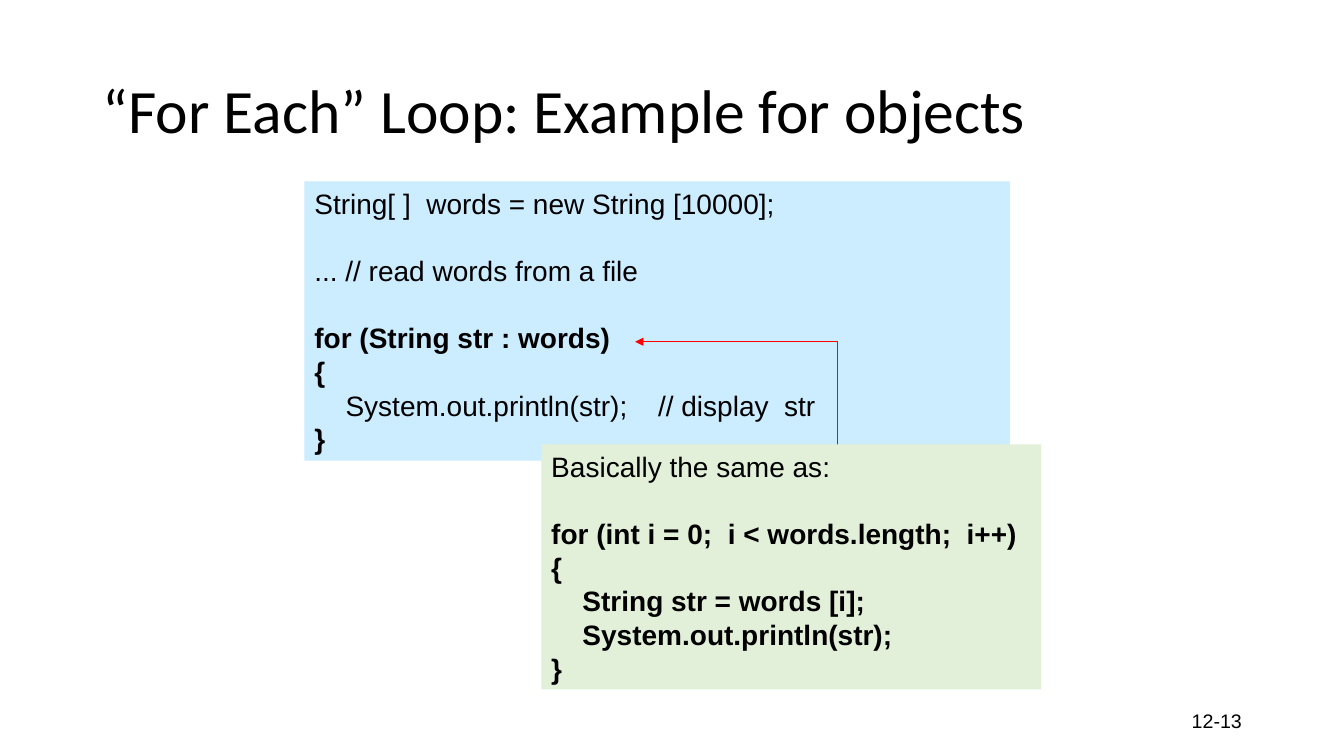
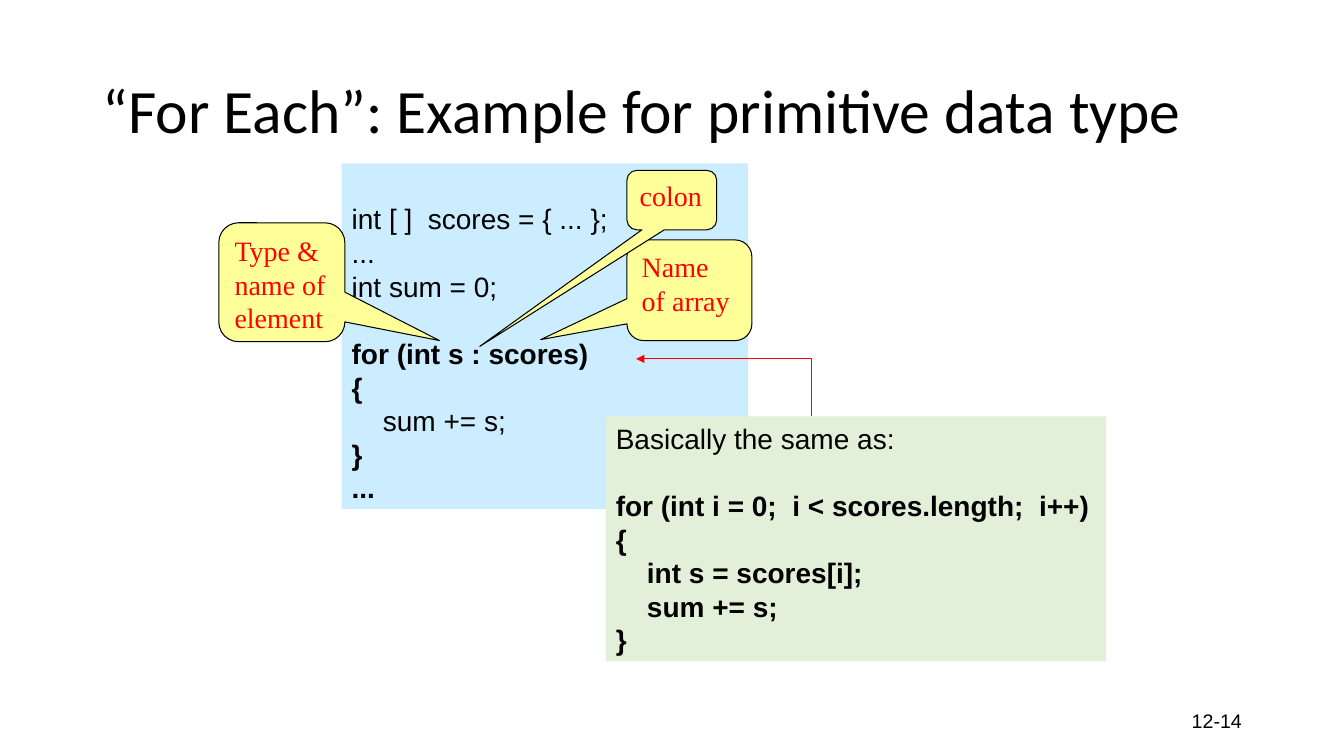
from dataclasses import dataclass
from pptx import Presentation
from pptx.dml.color import RGBColor as RGB
from pptx.enum.shapes import MSO_SHAPE as SHAPE
from pptx.enum.text import MSO_ANCHOR as ANCHOR, MSO_AUTO_SIZE as FIT, PP_ALIGN as ALIGN
from pptx.oxml.ns import qn
from pptx.util import Inches, Pt
from lxml.etree import SubElement

WIDTH, HEIGHT = Inches(13.333), Inches(7.5)


@dataclass(frozen=True)
class Theme:
    """Colours, fonts and type sizes of the deck."""
    ink: str = "000000"
    accent: str = "FF0000"
    code: str = "CCECFF"
    equivalent: str = "E2F0D9"
    callout: str = "FFFF99"
    title_font: str = "Calibri"
    code_font: str = "Arial"
    callout_font: str = "Times New Roman"
    title_size: int = 44
    body_size: int = 20
    page_size: int = 14
    line_pitch: int = 24
    hairline: float = 0.75
    tab_stops: tuple = (2.32, 25.58)


THEME = Theme()


@dataclass(frozen=True)
class Box:
    """A region in percent of the slide's width and height."""
    left: float
    top: float
    width: float
    height: float

    def place(self):
        """Return the region as slide lengths."""
        return across(self.left), down(self.top), across(self.width), down(self.height)


@dataclass(frozen=True)
class Line:
    """A line of code, with blank rows above it if it starts a block."""
    text: str
    bold: bool = False
    rows_above: int = 0


TITLE_BOX = Box(6.9, 5.33, 86.25, 19.33)
PAGE_BOX = Box(70.65, 92.67, 22.5, 5.33)


def across(share):
    """Turn a percentage of the slide's width into a length."""
    return int(WIDTH * share / 100)


def down(share):
    """Turn a percentage of the slide's height into a length."""
    return int(HEIGHT * share / 100)


def write(paragraph, text, font, size, color=THEME.ink, bold=False):
    """Add one styled run to a paragraph."""
    run = paragraph.add_run()
    run.text = text
    run.font.name, run.font.size, run.font.bold = font, Pt(size), bold
    run.font.color.rgb = RGB.from_string(color)


def label(slide, box, text, font, size, align=ALIGN.LEFT, spacing=1.0):
    """Place a single vertically centred paragraph."""
    frame = slide.shapes.add_textbox(*box.place()).text_frame
    frame.word_wrap, frame.vertical_anchor = True, ANCHOR.MIDDLE
    paragraph = frame.paragraphs[0]
    paragraph.alignment, paragraph.line_spacing = align, spacing
    write(paragraph, text, font, size)


def panel(slide, kind, box, fill):
    """Place a flat filled shape with left-aligned text from the top."""
    shape = slide.shapes.add_shape(kind, *box.place())
    shape.shadow.inherit = False
    shape.fill.solid()
    shape.fill.fore_color.rgb = RGB.from_string(fill)
    shape.text_frame.word_wrap = True
    shape.text_frame.vertical_anchor = ANCHOR.TOP
    shape.text_frame.paragraphs[0].alignment = ALIGN.LEFT
    return shape


def outline(shape, color):
    """Give a shape a thin coloured line."""
    shape.line.color.rgb = RGB.from_string(color)
    shape.line.width = Pt(THEME.hairline)


def add_tab_stops(paragraph):
    """Set the tab stops for indented code and its trailing remark."""
    stops = SubElement(paragraph._p.get_or_add_pPr(), qn("a:tabLst"))
    for share in THEME.tab_stops:
        SubElement(stops, qn("a:tab"), pos=str(across(share)), algn="l")


def code_panel(slide, box, lines, fill):
    """Place a panel of code lines."""
    code = panel(slide, SHAPE.RECTANGLE, box, fill)
    code.line.fill.background()
    frame = code.text_frame
    frame.auto_size = FIT.SHAPE_TO_FIT_TEXT
    frame.margin_top += Pt(THEME.line_pitch * lines[0].rows_above)
    for index, line in enumerate(lines):
        paragraph = frame.add_paragraph() if index else frame.paragraphs[0]
        paragraph.alignment = ALIGN.LEFT
        if index and line.rows_above:
            paragraph.space_before = Pt(THEME.line_pitch * line.rows_above)
        if "\t" in line.text:
            add_tab_stops(paragraph)
        write(paragraph, line.text, THEME.code_font, THEME.body_size, bold=line.bold)


def elbow_arrow(slide, start, tip):
    """Draw an arrow that rises from start and turns left to tip."""
    (x, y), (tip_x, tip_y) = [(across(h), down(v)) for h, v in (start, tip)]
    builder = slide.shapes.build_freeform(x, y)
    builder.add_line_segments([(x, tip_y), (tip_x, tip_y)], close=False)
    arrow = builder.convert_to_shape()
    arrow.shadow.inherit = False
    arrow.fill.background()
    outline(arrow, THEME.accent)
    SubElement(arrow.line._get_or_add_ln(), qn("a:tailEnd"), type="triangle")


def callout(slide, box, text, pointer):
    """Place a speech bubble whose pointer is a share of its own size."""
    bubble = panel(slide, SHAPE.ROUNDED_RECTANGULAR_CALLOUT, box, THEME.callout)
    bubble.adjustments[0], bubble.adjustments[1] = pointer
    outline(bubble, THEME.ink)
    write(bubble.text_frame.paragraphs[0], text, THEME.callout_font,
          THEME.body_size, THEME.accent)


def equivalent_lines(array, body):
    """Return the indexed loop that matches a for-each loop."""
    return [Line("Basically the same as:"),
            Line(f"for (int i = 0;  i < {array}.length;  i++)", True, 1),
            Line("{", True), *(Line("\t" + step, True) for step in body), Line("}", True)]


def example_slide(deck, title, page, code, equivalent, arrow_x, arrow_tip):
    """Build a slide that compares a for-each loop with an indexed one."""
    slide = deck.slides.add_slide(deck.slide_layouts[6])
    label(slide, PAGE_BOX, page, THEME.code_font, THEME.page_size, ALIGN.RIGHT)
    label(slide, TITLE_BOX, title, THEME.title_font, THEME.title_size, spacing=0.9)
    code_panel(slide, *code, THEME.code)
    elbow_arrow(slide, (arrow_x, equivalent[0].top), arrow_tip)
    code_panel(slide, *equivalent, THEME.equivalent)
    return slide


def objects_slide(deck):
    """Build the example for objects."""
    code = [Line("String[ ]  words = new String [10000];"),
            Line("... // read words from a file", rows_above=1),
            Line("for (String str : words)", True, 1), Line("{", True),
            Line("\tSystem.out.println(str);\t// display  str"), Line("}", True)]
    body = ["String str = words [i];", "System.out.println(str);"]
    example_slide(deck, "“For Each” Loop: Example for objects", "12-13",
                  (Box(22.65, 24, 52.5, 36.93), code),
                  (Box(40.28, 58.8, 37.2, 32.4), equivalent_lines("words", body)),
                  62.33, (47.25, 45.2))


def primitives_slide(deck):
    """Build the example for primitive types with its callouts."""
    code = [Line("int [ ]  scores = { ... };", rows_above=1), Line("..."),
            Line("int sum = 0;"), Line("for (int s : scores)", True, 1),
            Line("{", True), Line("\tsum += s;"), Line("}", True), Line("...", True)]
    body = ["int s = scores[i];", "sum += s;"]
    slide = example_slide(deck, "“For Each”: Example for primitive data type", "12-14",
                          (Box(25.43, 21.6, 30.23, 45.73), code),
                          (Box(45.08, 55.07, 37.2, 32.4), equivalent_lines("scores", body)),
                          60.38, (47.33, 47.47))
    callouts = [(Box(16.28, 29.47, 9.38, 15.73), "Type & name of element", (1.25, 0.49)),
                (Box(46.65, 31.73, 9.3, 13.33), "Name of array", (-1.19, 0.49)),
                (Box(46.65, 22.53, 6.68, 7.87), "colon", (-2.14, 2.46))]
    for box, text, pointer in callouts:
        callout(slide, box, text, pointer)


def main():
    """Build and save the deck."""
    deck = Presentation()
    deck.slide_width, deck.slide_height = WIDTH, HEIGHT
    objects_slide(deck)
    primitives_slide(deck)
    deck.save("out.pptx")


if __name__ == "__main__":
    main()
